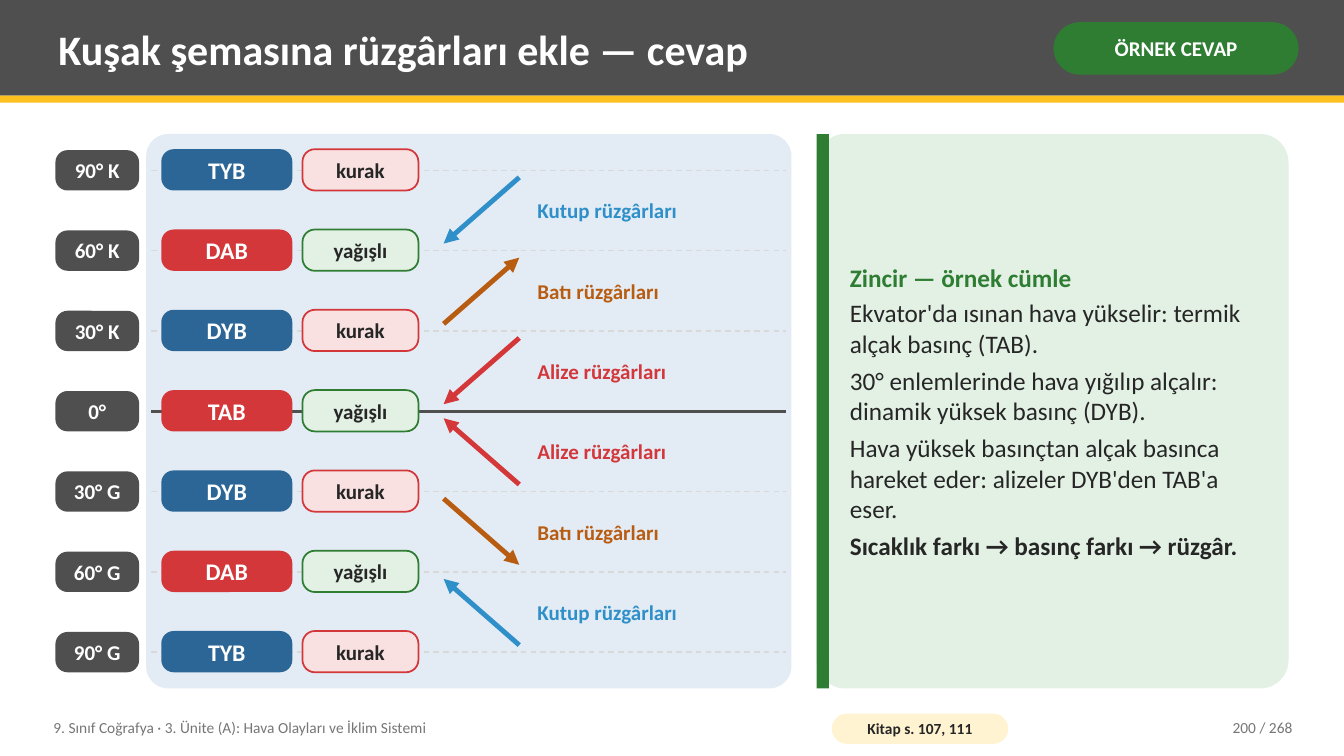
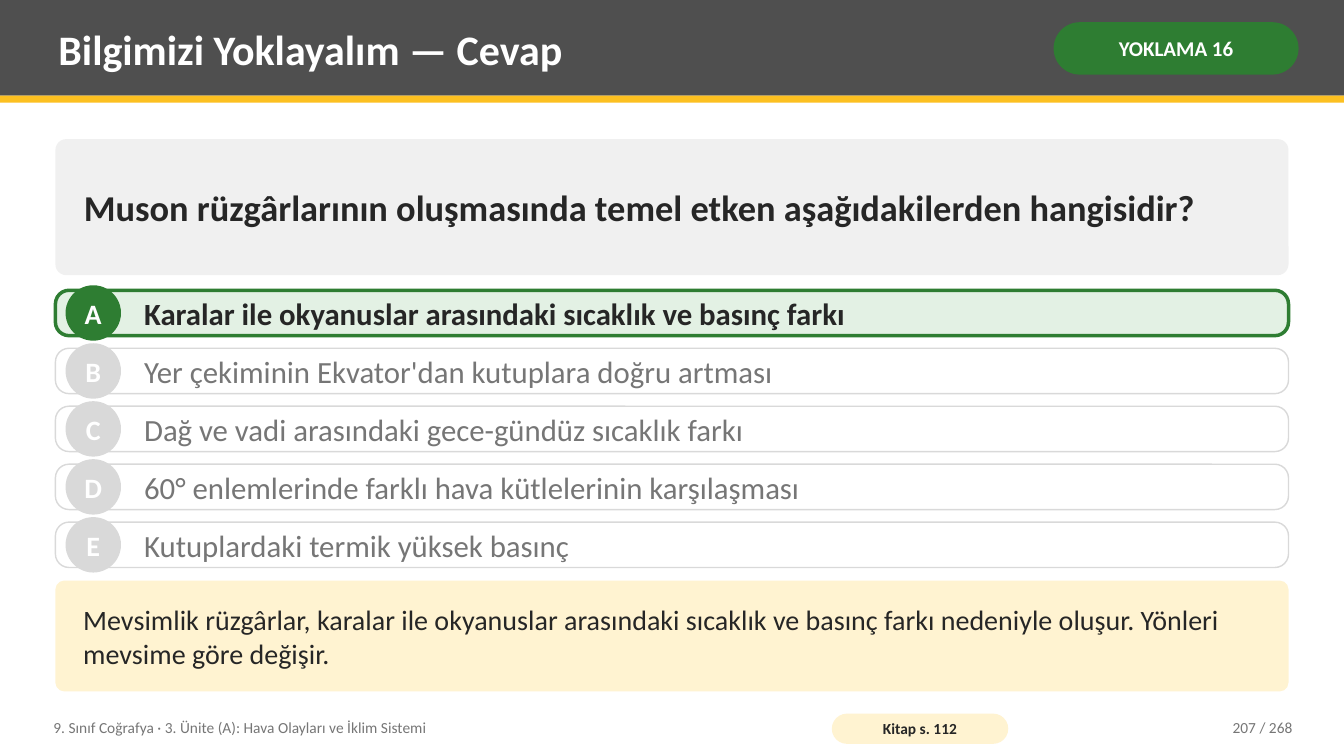
from lxml.etree import SubElement
from pptx import Presentation
from pptx.dml.color import RGBColor
from pptx.enum.dml import MSO_LINE
from pptx.enum.shapes import MSO_CONNECTOR, MSO_SHAPE
from pptx.enum.text import MSO_ANCHOR, PP_ALIGN
from pptx.oxml.ns import qn
from pptx.util import Inches, Pt

# Shared look
FONT = "Calibri"
WHITE, INK, MUTED, RULE = "FFFFFF", "262626", "767676", "D9D9D9"
CHARCOAL, GOLD, CREAM, MIST = "4F4F4F", "FCC021", "FFF3D1", "F0F0F0"
GREEN, PALE_GREEN, RED, PALE_RED = "2E7D32", "E3F1E4", "D3373A", "F9E1E1"
BLUE, PALE_BLUE, SKY, BROWN = "2C6696", "E3ECF5", "2F8FC9", "B85C12"
LEFT, CONTENT_WIDTH = 0.55, 12.23
TEXT_INSETS = (0.08, 0.04)
LABEL_INSETS = (0.06, 0)
CARD_INSETS = (0.25, 0.08)
COURSE = "9. Sınıf Coğrafya · 3. Ünite (A): Hava Olayları ve İklim Sistemi"
PAGE_COUNT = 268

# Pressure belts: latitude, pressure centre, is it rainy
BELTS = [
    ("90° K", "TYB", False),
    ("60° K", "DAB", True),
    ("30° K", "DYB", False),
    ("0°", "TAB", True),
    ("30° G", "DYB", False),
    ("60° G", "DAB", True),
    ("90° G", "TYB", False),
]
BELT_TOP, BELT_BOTTOM = 1.69, 6.47
BELT_STEP = (BELT_BOTTOM - BELT_TOP) / (len(BELTS) - 1)
EQUATOR = len(BELTS) // 2

# Winds from the north pole to the equator: name, colour, blows westward
WINDS = [
    ("Kutup rüzgârları", SKY, True),
    ("Batı rüzgârları", BROWN, False),
    ("Alize rüzgârları", RED, True),
]

# Explanation chain: text, colour, bold, space after
CHAIN = [
    ("Zincir — örnek cümle", GREEN, True, 4),
    ("Ekvator'da ısınan hava yükselir: termik alçak basınç (TAB).", INK, False, 5),
    ("30° enlemlerinde hava yığılıp alçalır: dinamik yüksek basınç (DYB).", INK, False, 5),
    ("Hava yüksek basınçtan alçak basınca hareket eder: alizeler DYB'den TAB'a eser.",
     INK, False, 5),
    ("Sıcaklık farkı → basınç farkı → rüzgâr.", INK, True, 0),
]

QUESTION = "Muson rüzgârlarının oluşmasında temel etken aşağıdakilerden hangisidir?"
OPTIONS = [
    "Karalar ile okyanuslar arasındaki sıcaklık ve basınç farkı",
    "Yer çekiminin Ekvator'dan kutuplara doğru artması",
    "Dağ ve vadi arasındaki gece-gündüz sıcaklık farkı",
    "60° enlemlerinde farklı hava kütlelerinin karşılaşması",
    "Kutuplardaki termik yüksek basınç",
]
CORRECT = "A"
OPTION_TOP, OPTION_STEP, OPTION_HEIGHT = 2.88, 0.575, 0.45
EXPLANATION = ("Mevsimlik rüzgârlar, karalar ile okyanuslar arasındaki sıcaklık ve basınç "
               "farkı nedeniyle oluşur. Yönleri mevsime göre değişir.")


def rgb(hex_code):
    return RGBColor.from_string(hex_code)


def style_paragraph(paragraph, text, size, color, bold=False,
                    align=PP_ALIGN.LEFT, space_after=0):
    paragraph.text = text
    paragraph.alignment = align
    if space_after:
        paragraph.space_after = Pt(space_after)
    font = paragraph.font
    font.name, font.size, font.bold = FONT, Pt(size), bold
    font.color.rgb = rgb(color)


def prepare_frame(frame, insets, wrap=True):
    frame.word_wrap = wrap
    frame.vertical_anchor = MSO_ANCHOR.MIDDLE
    frame.margin_left = frame.margin_right = Inches(insets[0])
    frame.margin_top = frame.margin_bottom = Inches(insets[1])


def add_block(slide, box, fill, kind=MSO_SHAPE.RECTANGLE, corner=None, outline=None):
    """Filled shape; outline is (colour, width in points)."""
    block = slide.shapes.add_shape(kind, *map(Inches, box))
    block.shadow.inherit = False
    block.fill.solid()
    block.fill.fore_color.rgb = rgb(fill)
    if corner is not None:
        block.adjustments[0] = corner
    if outline:
        block.line.color.rgb = rgb(outline[0])
        block.line.width = Pt(outline[1])
    else:
        block.line.fill.background()
    return block


def add_card(slide, box, fill, corner, outline=None):
    return add_block(slide, box, fill, MSO_SHAPE.ROUNDED_RECTANGLE, corner, outline)


def write_in(shape, text, size, color, bold=True, insets=LABEL_INSETS,
             align=PP_ALIGN.CENTER, wrap=True):
    prepare_frame(shape.text_frame, insets, wrap)
    style_paragraph(shape.text_frame.paragraphs[0], text, size, color, bold, align)


def add_text(slide, box, text, size, color, bold=False, align=PP_ALIGN.LEFT):
    label = slide.shapes.add_textbox(*map(Inches, box))
    write_in(label, text, size, color, bold, TEXT_INSETS, align)


def add_line(slide, start, end, color, width, dashed=False, arrow=False):
    line = slide.shapes.add_connector(
        MSO_CONNECTOR.STRAIGHT, *map(Inches, (*start, *end)))
    line.line.color.rgb = rgb(color)
    line.line.width = Pt(width)
    if dashed:
        line.line.dash_style = MSO_LINE.DASH
    if arrow:
        SubElement(line.line._get_or_add_ln(), qn("a:tailEnd"), type="triangle")
    SubElement(line._element.spPr, qn("a:effectLst"))


def add_base_slide(deck, title, tag, book_pages, page):
    slide = deck.slides.add_slide(deck.slide_layouts[6])
    # Title band with tag
    add_block(slide, (0, 0, 13.33, 0.95), CHARCOAL)
    add_block(slide, (0, 0.95, 13.33, 0.07), GOLD)
    add_text(slide, (0.5, 0.07, 9.75, 0.82), title, 30, WHITE, True)
    tag_pill = add_card(slide, (10.45, 0.22, 2.43, 0.52), GREEN, 0.5)
    write_in(tag_pill, tag, 15, WHITE, insets=(0.05, 0.02))
    # Footer
    add_text(slide, (0.45, 7.04, 7.6, 0.36), COURSE, 11, MUTED)
    book_pill = add_card(slide, (8.25, 7.08, 1.75, 0.3), CREAM, 0.5)
    write_in(book_pill, f"Kitap s. {book_pages}", 11, INK, insets=(0.04, 0))
    add_text(slide, (11.3, 7.04, 1.6, 0.36), f"{page} / {PAGE_COUNT}", 11, MUTED,
             align=PP_ALIGN.RIGHT)
    return slide


def add_belt(slide, index, latitude, pressure, rainy):
    y = BELT_TOP + index * BELT_STEP
    at_equator = index == EQUATOR
    add_line(slide, (1.5, y), (7.8, y), CHARCOAL if at_equator else RULE,
             2 if at_equator else 1, dashed=not at_equator)
    latitude_pill = add_card(slide, (LEFT, y - 0.2, 0.83, 0.4), CHARCOAL, 0.3)
    write_in(latitude_pill, latitude, 15, WHITE)
    # Low pressure belts (AB) are red, high pressure belts (YB) blue
    pressure_fill = RED if pressure.endswith("AB") else BLUE
    pressure_pill = add_card(slide, (1.6, y - 0.21, 1.3, 0.41), pressure_fill, 0.3)
    write_in(pressure_pill, pressure, 17, WHITE)
    climate, fill, edge = (("yağışlı", PALE_GREEN, GREEN) if rainy
                           else ("kurak", PALE_RED, RED))
    climate_pill = add_card(slide, (3, y - 0.21, 1.15, 0.41), fill, 0.3, (edge, 1.25))
    write_in(climate_pill, climate, 15, INK)


def add_wind(slide, index, name, color, westward):
    top = BELT_TOP + index * BELT_STEP + 0.07
    bottom = top + BELT_STEP - 0.14
    northern = index < EQUATOR
    west = (4.4, bottom if northern else top)
    east = (5.15, top if northern else bottom)
    start, end = (east, west) if westward else (west, east)
    add_line(slide, start, end, color, 3.5, arrow=True)
    add_text(slide, (5.25, top, 2.55, bottom - top), name, 15, color, True)


def build_wind_belts(deck):
    slide = add_base_slide(deck, "Kuşak şemasına rüzgârları ekle — cevap",
                           "ÖRNEK CEVAP", "107, 111", 200)
    # Belt diagram, with the winds mirrored at the equator
    add_card(slide, (1.45, 1.33, 6.4, 5.5), PALE_BLUE, 0.04)
    for index, belt in enumerate(BELTS):
        add_belt(slide, index, *belt)
    for index, wind in enumerate(WINDS + WINDS[::-1]):
        add_wind(slide, index, *wind)
    # Explanation chain
    add_card(slide, (8.1, 1.33, 4.68, 5.5), PALE_GREEN, 0.06)
    add_block(slide, (8.1, 1.33, 0.12, 5.5), GREEN)
    chain = slide.shapes.add_textbox(*map(Inches, (8.35, 1.39, 4.33, 5.38))).text_frame
    prepare_frame(chain, TEXT_INSETS)
    for index, (text, color, bold, space_after) in enumerate(CHAIN):
        paragraph = chain.add_paragraph() if index else chain.paragraphs[0]
        style_paragraph(paragraph, text, 18, color, bold, space_after=space_after)


def add_option(slide, index, text):
    letter = "ABCDE"[index]
    correct = letter == CORRECT
    y = OPTION_TOP + index * OPTION_STEP
    accent = GREEN if correct else RULE
    add_card(slide, (LEFT, y, CONTENT_WIDTH, OPTION_HEIGHT),
             PALE_GREEN if correct else WHITE, 0.3, (accent, 2.5 if correct else 1))
    badge = add_block(slide, (0.65, y - 0.05, 0.55, 0.55), accent, MSO_SHAPE.OVAL)
    write_in(badge, letter, 20, WHITE, insets=(0, 0), wrap=False)
    add_text(slide, (1.35, y, 11.23, OPTION_HEIGHT), text, 22,
             INK if correct else MUTED, correct)


def build_quiz_answer(deck):
    slide = add_base_slide(deck, "Bilgimizi Yoklayalım — Cevap", "YOKLAMA 16", "112", 207)
    question = add_card(slide, (LEFT, 1.38, CONTENT_WIDTH, 1.35), MIST, 0.08)
    write_in(question, QUESTION, 26, INK, insets=CARD_INSETS, align=PP_ALIGN.LEFT)
    for index, text in enumerate(OPTIONS):
        add_option(slide, index, text)
    explanation = add_card(slide, (LEFT, 5.76, CONTENT_WIDTH, 1.1), CREAM, 0.08)
    write_in(explanation, EXPLANATION, 20, INK, False, CARD_INSETS, PP_ALIGN.LEFT)


def main():
    deck = Presentation()
    deck.slide_width, deck.slide_height = Inches(13.33), Inches(7.5)
    build_wind_belts(deck)
    build_quiz_answer(deck)
    deck.save("out.pptx")


if __name__ == "__main__":
    main()
